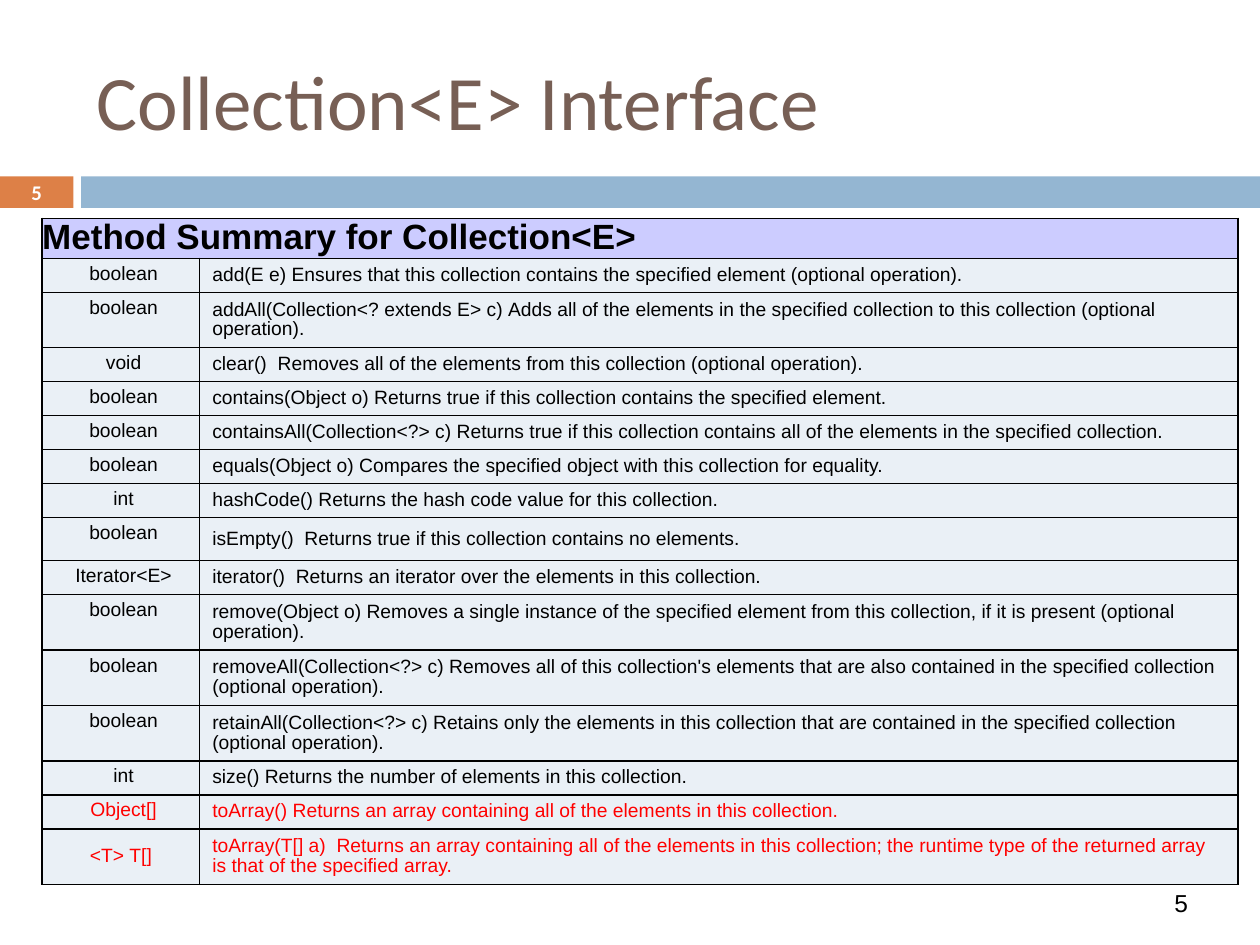
from lxml.etree import SubElement
from pptx import Presentation
from pptx.dml.color import RGBColor
from pptx.enum.shapes import MSO_SHAPE as Shape
from pptx.enum.text import MSO_ANCHOR as Anchor, PP_ALIGN as Align
from pptx.oxml.ns import qn
from pptx.util import Inches, Pt

BLACK = RGBColor(0x00, 0x00, 0x00)
WHITE = RGBColor(0xFF, 0xFF, 0xFF)
RED = RGBColor(0xFF, 0x00, 0x00)
BROWN = RGBColor(0x77, 0x5F, 0x55)
ORANGE = RGBColor(0xDD, 0x80, 0x47)
BLUE = RGBColor(0x94, 0xB6, 0xD2)
LILAC = RGBColor(0xCC, 0xCC, 0xFF)
PALE = RGBColor(0xEA, 0xF0, 0xF6)

COLUMNS, ROWS = 40, 30
HEADER_ROW, SINGLE_ROW, SPACED_ROW, DOUBLE_ROW = 1.27, 1.08, 1.37, 1.76
LINE_LENGTH = 120
TABLE_SPACING = 0.92
HARD_SPACE = chr(160)

METHODS = [
    (" boolean", "add(E e)", "Ensures that this collection contains the specified element (optional operation)."),
    (" boolean", "addAll(Collection<? extends E> c)",
     "Adds all of the elements in the specified collection to this collection (optional operation)."),
    (" void", "clear() ", "Removes all of the elements from this collection (optional operation)."),
    (" boolean", "contains(Object o)", "Returns true if this collection contains the specified element."),
    (" boolean", "containsAll(Collection<?> c)",
     "Returns true if this collection contains all of the elements in the specified collection."),
    (" boolean", "equals(Object o)", "Compares the specified object with this collection for equality."),
    (" int", "hashCode()", "Returns the hash code value for this collection."),
    (" boolean", "isEmpty() ", "Returns true if this collection contains no elements."),
    (" Iterator<E>", "iterator() ", "Returns an iterator over the elements in this collection."),
    (" boolean", "remove(Object o)",
     "Removes a single instance of the specified element from this collection, "
     "if it is present (optional operation)."),
    (" boolean", "removeAll(Collection<?> c)",
     "Removes all of this collection's elements that are also contained in the specified collection "
     "(optional operation)."),
    (" boolean", "retainAll(Collection<?> c)",
     "Retains only the elements in this collection that are contained in the specified collection "
     "(optional operation)."),
    (" int", "size()", "Returns the number of elements in this collection."),
    (" Object[]", "toArray()", "Returns an array containing all of the elements in this collection."),
    ("<T> T[]", "toArray(T[] a) ",
     "Returns an array containing all of the elements in this collection; "
     "the runtime type of the returned array is that of the specified array."),
]


def write(frame, text, size=11, font="Arial", color=BLACK, bold=False, align=Align.LEFT, spacing=None):
    """Put one formatted paragraph into a text frame."""
    para = frame.paragraphs[0]
    para.alignment = align
    para.line_spacing = spacing
    span = para.add_run()
    span.text = text
    span.font.size, span.font.name, span.font.bold = Pt(size), font, bold
    span.font.color.rgb = color


class Page:
    """Draw styled elements on one slide with a grid of columns and rows."""

    def __init__(self, deck):
        self.column = deck.slide_width / COLUMNS
        self.row = deck.slide_height / ROWS
        self.slide = deck.slides.add_slide(deck.slide_layouts[5])

    def place(self, left, top, width, height):
        """Turn grid units into lengths."""
        return (round(left * self.column), round(top * self.row),
                round(width * self.column), round(height * self.row))

    def title(self, text, *area):
        """Move and fill the title placeholder."""
        box = self.slide.shapes.title
        box.left, box.top, box.width, box.height = self.place(*area)
        box.text_frame.vertical_anchor = Anchor.MIDDLE
        write(box.text_frame, text, size=44, font="Calibri", color=BROWN)

    def bar(self, color, *area):
        """Draw a plain filled rectangle."""
        box = self.slide.shapes.add_shape(Shape.RECTANGLE, *self.place(*area))
        box.shadow.inherit = False
        box.fill.solid()
        box.fill.fore_color.rgb = color
        box.line.fill.background()

    def label(self, text, *area, anchor=Anchor.TOP, **style):
        """Add a centred text box."""
        frame = self.slide.shapes.add_textbox(*self.place(*area)).text_frame
        frame.word_wrap = True
        frame.vertical_anchor = anchor
        write(frame, text, align=Align.CENTER, **style)

    def cell(self, cell, text, fill=PALE, anchor=Anchor.MIDDLE, **style):
        """Fill, border and write one table cell."""
        properties = cell._tc.get_or_add_tcPr()
        for side in ("a:lnL", "a:lnR", "a:lnT", "a:lnB"):
            line = SubElement(properties, qn(side), w=str(Pt(1)))
            SubElement(SubElement(line, qn("a:solidFill")), qn("a:srgbClr"), val=str(BLACK))
        cell.fill.solid()
        cell.fill.fore_color.rgb = fill
        cell.vertical_anchor = anchor
        write(cell.text_frame, text, spacing=TABLE_SPACING, **style)

    def method_table(self, heading, methods, left, top, widths):
        """Build the method summary with one row per method."""
        heights = [HEADER_ROW]
        for _, signature, description in methods:
            long = len(signature + description) > LINE_LENGTH
            spaced = signature.startswith("isEmpty")
            heights.append(DOUBLE_ROW if long else SPACED_ROW if spaced else SINGLE_ROW)
        area = self.place(left, top, sum(widths), sum(heights))
        table = self.slide.shapes.add_table(len(heights), len(widths), *area).table
        for column, width in zip(table.columns, widths):
            column.width = round(width * self.column)
        for row, height in zip(table.rows, heights):
            row.height = round(height * self.row)

        header = table.cell(0, 0)
        header.merge(table.cell(0, 1))
        header.margin_left = header.margin_right = header.margin_top = header.margin_bottom = 0
        self.cell(header, heading, fill=LILAC, size=20, bold=True)
        for number, (result, signature, description) in enumerate(methods, 1):
            color = RED if signature.startswith("toArray") else BLACK
            anchor = Anchor.MIDDLE if number == len(methods) else Anchor.TOP
            self.cell(table.cell(number, 0), result.replace(" ", HARD_SPACE),
                      anchor=anchor, color=color, align=Align.CENTER)
            call = signature.replace(" ", HARD_SPACE)
            self.cell(table.cell(number, 1), call + HARD_SPACE + description, color=color)


def main():
    """Build and save the deck."""
    deck = Presentation()
    deck.slide_width, deck.slide_height = Inches(10), Inches(7.5)
    page = Page(deck)
    page.bar(ORANGE, 0, 5.6, 2.33, 1)
    page.bar(BLUE, 2.58, 5.6, 37.42, 1)
    page.label("5", 36, 28, 3, 1.33, size=14)
    page.title("Collection<E> Interface", 2.67, 1, 35.67, 4.33)
    page.label("5", 0, 5.57, 2.33, 1.07, anchor=Anchor.MIDDLE,
               size=11.9, font="Calibri", color=WHITE, bold=True)
    page.method_table("Method Summary for Collection<E>", METHODS, 1.34, 6.93, (5, 32.96))
    deck.save("out.pptx")


if __name__ == "__main__":
    main()
